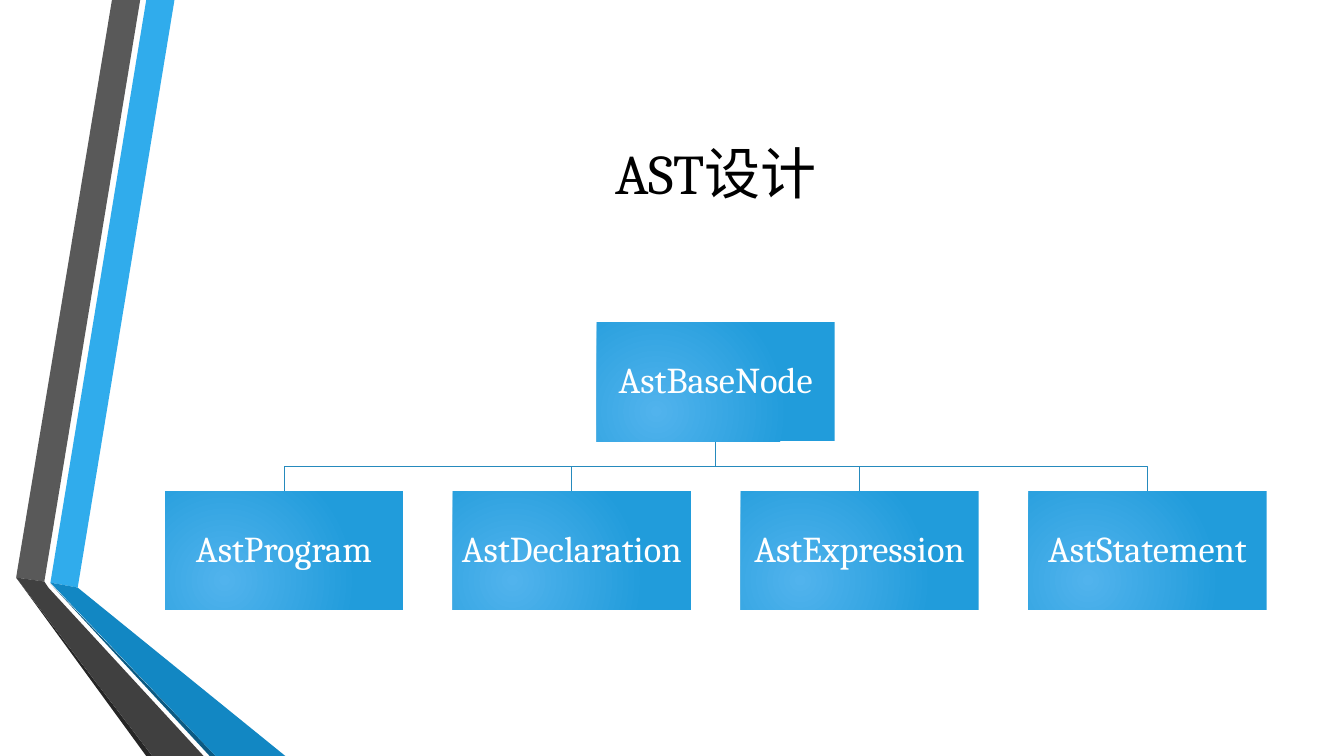
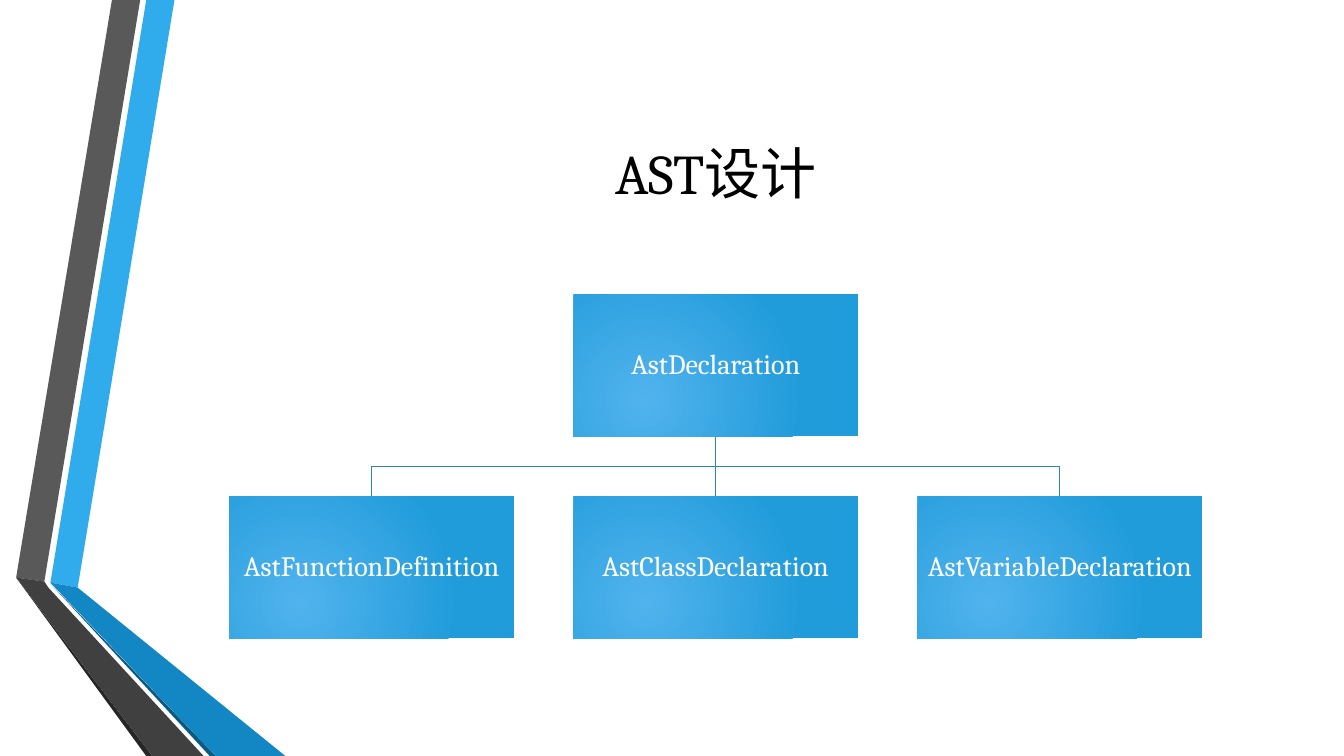
from lxml.etree import SubElement
from pptx import Presentation
from pptx.dml.color import RGBColor
from pptx.enum.shapes import MSO_CONNECTOR as Connector, MSO_SHAPE as Shape
from pptx.enum.text import MSO_ANCHOR as Anchor, PP_ALIGN as Align
from pptx.oxml.ns import qn
from pptx.util import Inches, Pt

WIDTH, HEIGHT = Inches(13.33), Inches(7.5)
FONT = "Cambria"
COLOURS = {
    "title": "000000",
    "label": "FFFFFF",
    "link": "268ABD",
    "box_inner": "51B3ED",
    "box_outer": "219CDB",
}
TITLE_AREA = {"left": 12.15, "top": 10, "width": 82.22, "height": 25.6}
TREE_CENTRE, TREE_MIDDLE = 53.26, 61.67
GAP_RATIO = 0.21
BANDS = [
    ("30ACEC", [(3.75, 77.07), (5.78, 77.73), (12.98, 0), (10.88, 0)]),
    ("595959", [(10.43, 0), (8.33, 0), (1.2, 76.4), (3.3, 76.93)]),
    ("262626", [(1.2, 76.4), (10.88, 100), (11.33, 100)]),
    ("0C5A82", [(3.75, 77.2), (15.6, 100), (16.05, 100)]),
    ("1287C3", [(3.75, 77.07), (16.05, 100), (21.23, 100), (5.78, 77.73)]),
    ("404040", [(15.15, 100), (3.6, 77.73), (3.3, 76.93), (1.2, 76.4), (11.33, 100)]),
]
TREES = [
    {
        "title": "AST设计",
        "root": "AstBaseNode",
        "children": ["AstProgram", "AstDeclaration", "AstExpression", "AstStatement"],
        "box_share": 17.7,
        "size": 26,
        "inset": 0.02,
    },
    {
        "title": "AST设计",
        "root": "AstDeclaration",
        "children": ["AstFunctionDefinition", "AstClassDeclaration", "AstVariableDeclaration"],
        "box_share": 21.16,
        "size": 20,
        "inset": 0.01,
    },
]


def colour(code):
    return RGBColor.from_string(code)


def across(share):
    return round(WIDTH * share / 100)


def down(share):
    return round(HEIGHT * share / 100)


def set_all(target, values):
    for name, value in values.items():
        setattr(target, name, value)


def write(shape, text, size, hue, inset, spacing):
    frame = shape.text_frame
    margins = dict.fromkeys(
        ["margin_left", "margin_top", "margin_right", "margin_bottom"], Inches(inset)
    )
    set_all(frame, {"word_wrap": True, "vertical_anchor": Anchor.MIDDLE, **margins})
    para = frame.paragraphs[0]
    set_all(para, {"alignment": Align.CENTER, "line_spacing": spacing})
    span = para.add_run()
    span.text = text
    set_all(span.font, {"name": FONT, "size": Pt(size), "bold": False})
    span.font.color.rgb = colour(hue)


def add_outline(page, points, closed):
    builder = page.shapes.build_freeform(*points[0], scale=1.0)
    builder.add_line_segments(points[1:], close=closed)
    outline = builder.convert_to_shape()
    outline.shadow.inherit = False
    return outline


def add_bands(page, layout):
    layout_tree = layout.shapes.element
    for position, (hue, points) in enumerate(BANDS, start=2):
        band = add_outline(page, [(across(x), down(y)) for x, y in points], True)
        band.fill.solid()
        band.fill.fore_color.rgb = colour(hue)
        band.line.fill.background()
        layout_tree.insert(position, band.element)


def add_title(page, text):
    title = page.shapes.title
    set_all(title, {
        "left": across(TITLE_AREA["left"]),
        "top": down(TITLE_AREA["top"]),
        "width": across(TITLE_AREA["width"]),
        "height": down(TITLE_AREA["height"]),
    })
    write(title, text, 40, COLOURS["title"], 0.1, 1.0)


def style_link(link):
    link.line.color.rgb = colour(COLOURS["link"])
    link.line.width = Pt(0.75)


def add_link(page, start, end):
    (start_x, start_y), (end_x, end_y) = start, end
    if start_x == end_x:
        link = page.shapes.add_connector(Connector.STRAIGHT, *start, *end)
        SubElement(link.element.spPr, qn("a:effectLst"))
    else:
        bend = (start_y + end_y) // 2
        link = add_outline(page, [start, (start_x, bend), (end_x, bend), end], False)
        link.fill.background()
    style_link(link)


def fill_radial(shape):
    shape.fill.gradient()
    hues = [COLOURS["box_inner"], COLOURS["box_outer"]]
    for place, (stop, hue) in enumerate(zip(shape.fill.gradient_stops, hues)):
        stop.color.rgb = colour(hue)
        stop.position = place
    gradient = shape.element.spPr.find(qn("a:gradFill"))
    gradient.remove(gradient.find(qn("a:lin")))
    circle = SubElement(gradient, qn("a:path"), {"path": "circle"})
    focus = {"l": "50000", "t": "100000", "r": "100000", "b": "50000"}
    SubElement(circle, qn("a:fillToRect"), focus)


def add_box(page, text, centre, top, width, tree):
    box = page.shapes.add_shape(
        Shape.RECTANGLE, centre - width // 2, top, width, width // 2
    )
    box.shadow.inherit = False
    box.line.fill.background()
    fill_radial(box)
    write(box, text, tree["size"], COLOURS["label"], tree["inset"], 0.9)


def add_tree(page, tree):
    width = across(tree["box_share"])
    gap = round(width * GAP_RATIO)
    centre, middle = across(TREE_CENTRE), down(TREE_MIDDLE)
    root_bottom, child_top = middle - gap // 2, middle + gap // 2
    children = tree["children"]
    offset = (len(children) - 1) / 2
    centres = [
        round(centre + (column - offset) * (width + gap))
        for column in range(len(children))
    ]
    for child_centre in centres:
        add_link(page, (centre, root_bottom), (child_centre, child_top))
    add_box(page, tree["root"], centre, root_bottom - width // 2, width, tree)
    for name, child_centre in zip(children, centres):
        add_box(page, name, child_centre, child_top, width, tree)


def main():
    deck = Presentation()
    set_all(deck, {"slide_width": WIDTH, "slide_height": HEIGHT})
    layout = deck.slide_layouts.get_by_name("Title Only")
    pages = [deck.slides.add_slide(layout) for _ in TREES]
    add_bands(pages[0], layout)
    for page, tree in zip(pages, TREES):
        add_title(page, tree["title"])
        add_tree(page, tree)
    deck.save("out.pptx")


main()
